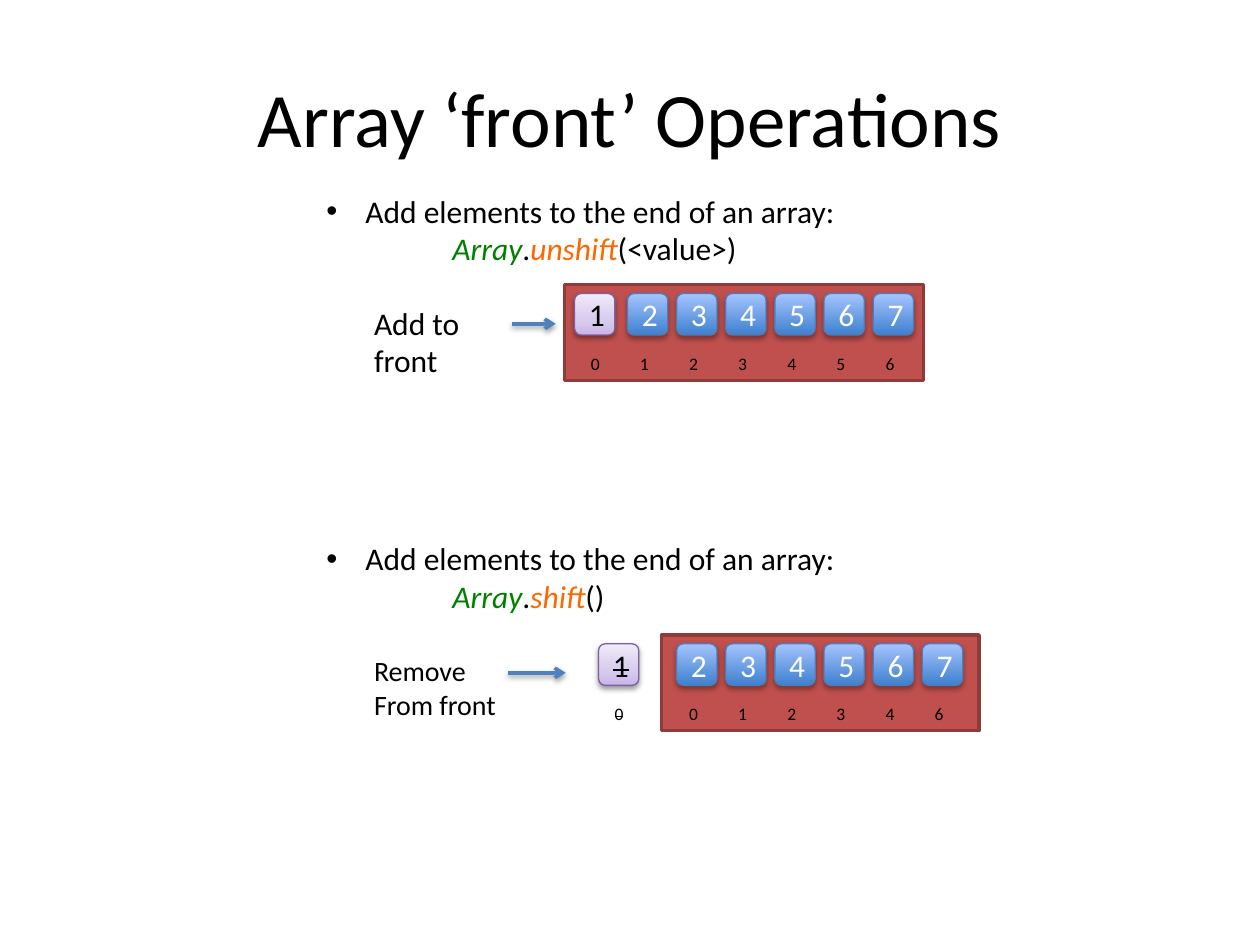
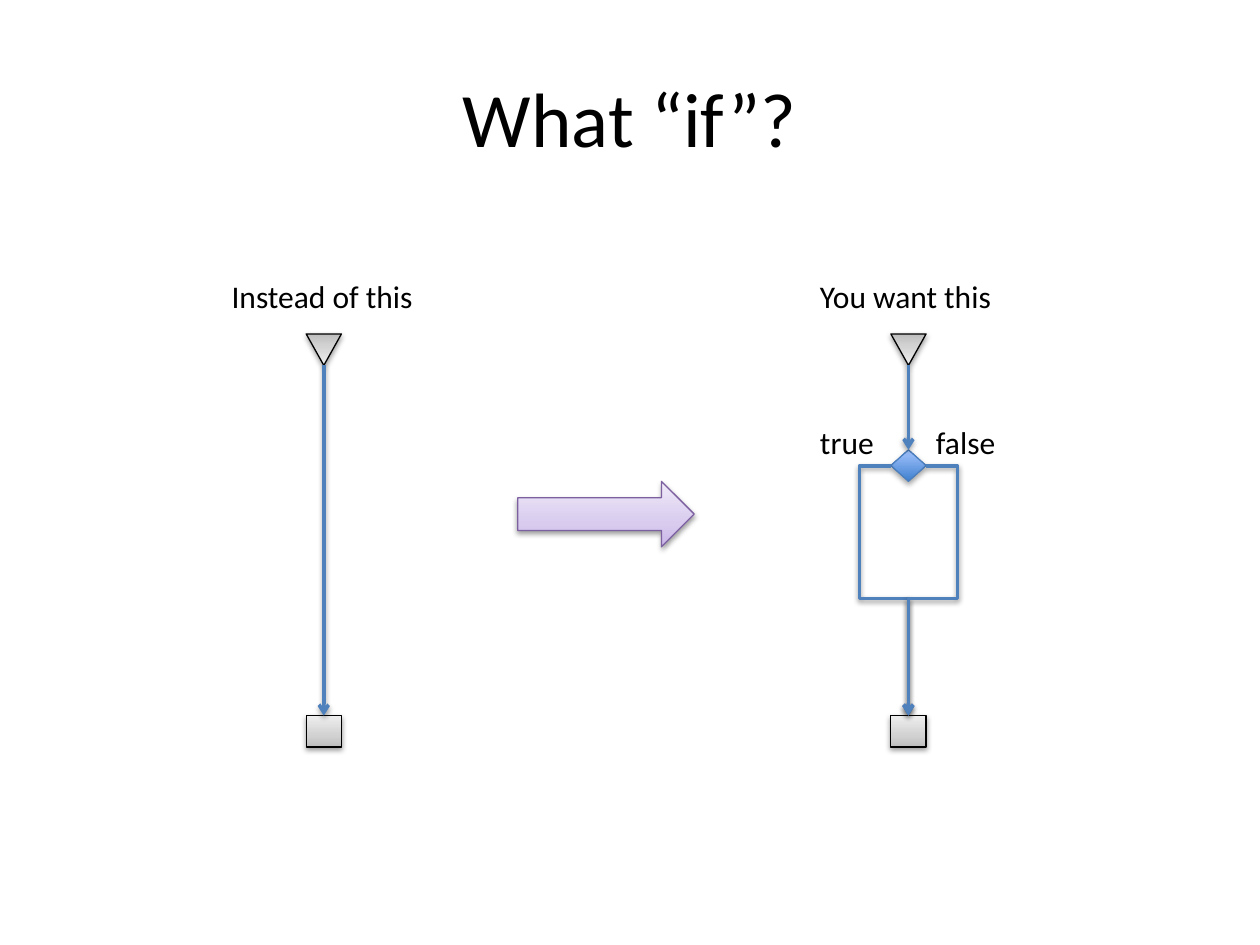
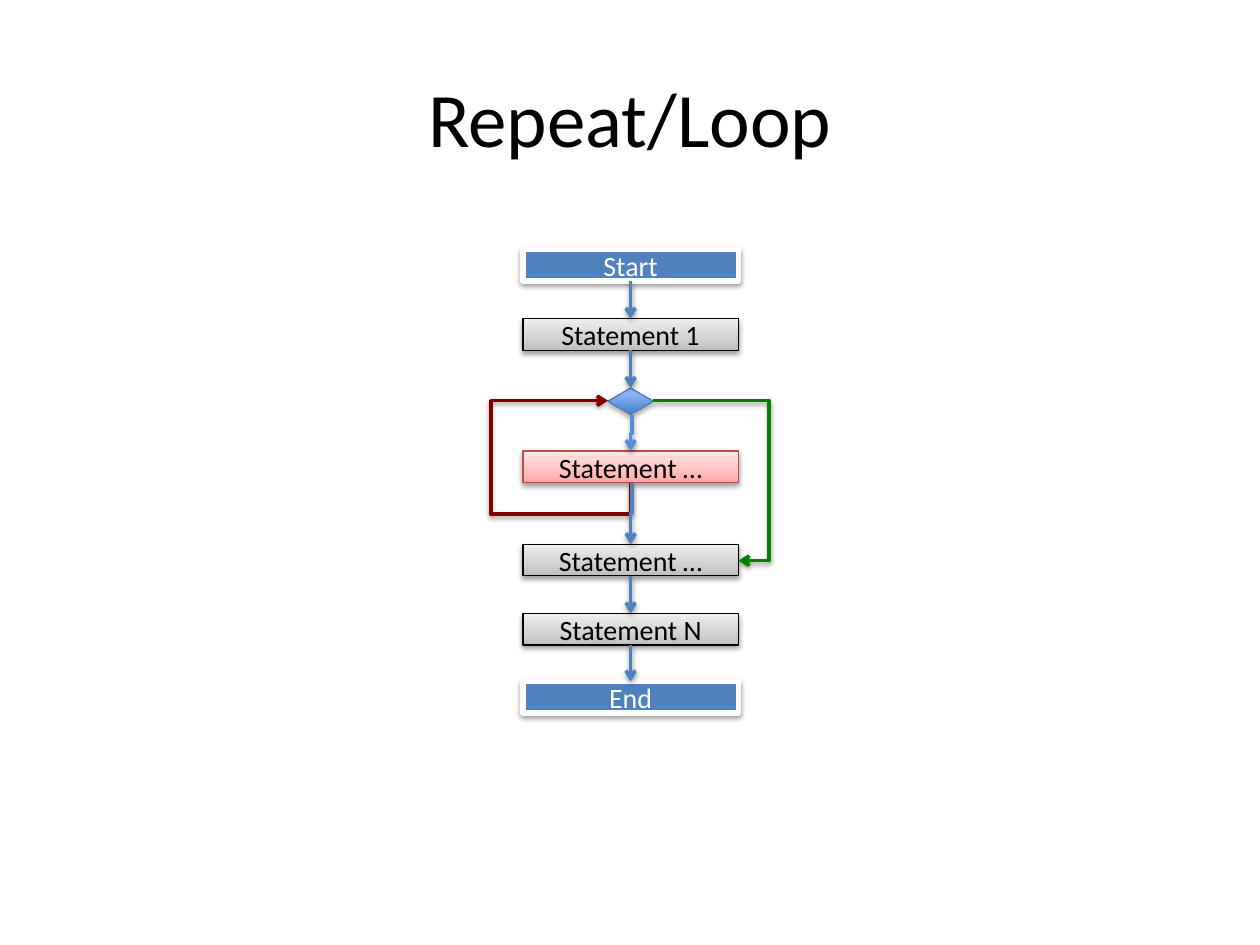
from dataclasses import dataclass

from lxml.etree import SubElement
from pptx import Presentation
from pptx.dml.color import RGBColor
from pptx.enum.shapes import MSO_CONNECTOR, MSO_SHAPE
from pptx.enum.text import MSO_ANCHOR, MSO_AUTO_SIZE, PP_ALIGN
from pptx.oxml.ns import qn
from pptx.util import Inches, Pt


@dataclass(frozen=True)
class Look:
    """Fill as (percent, colour) stops, or one stop for a flat fill."""
    stops: tuple
    line: str
    line_width: float = 0.75
    text: str = "000000"
    shadow: tuple = (38, 1.6)  # opacity in percent, distance in points


@dataclass(frozen=True)
class Theme:
    font: str = "Calibri"
    ink: str = "000000"
    arrow: str = "4F81BD"
    light_arrow: str = "558ED5"
    back_arrow: str = "800000"
    skip_arrow: str = "008000"
    object_name: str = "008000"
    method_name: str = "FF6600"
    title_size: int = 44
    text_size: int = 18
    small_size: int = 16
    index_size: int = 10
    arrow_width: float = 2
    shadow_blur: float = 3.1
    blue: Look = Look(((0, "3F80CE"), (100, "A4C4FF")), "4B7EBC",
                      text="FFFFFF", shadow=(35, 1.8))
    lilac: Look = Look(((0, "C9B5E8"), (35, "D8CBEE"), (100, "F0EAF9")), "7D60A0")
    grey: Look = Look(((0, "BDBDBD"), (35, "D1D1D1"), (100, "EEEEEE")), "000000")
    pink: Look = Look(((0, "FFA6A5"), (35, "FFC0BF"), (100, "FFE7E7")), "BF4C48")
    terminal: Look = Look(((0, "4F81BD"),), "FFFFFF", 3, "FFFFFF")
    tray: Look = Look(((0, "C0504D"),), "8E3B39", 2, shadow=())


THEME = Theme()


def rgb(colour):
    return RGBColor.from_string(colour)


def add_span(para, text, size, colour=THEME.ink, italic=False, struck=False):
    span = para.add_run()
    span.text = text
    span.font.name = THEME.font
    span.font.size = Pt(size)
    span.font.color.rgb = rgb(colour)
    if italic:
        span.font.italic = True
    if struck:
        span._r.get_or_add_rPr().set("strike", "sngStrike")


def cast_shadow(properties, opacity, distance):
    effects = properties.find(qn("a:effectLst"))
    if effects is None:
        effects = SubElement(properties, qn("a:effectLst"))
    shadow = SubElement(effects, qn("a:outerShdw"), blurRad=str(Pt(THEME.shadow_blur)),
                        dist=str(Pt(distance)), dir="5400000", rotWithShape="0")
    colour = SubElement(shadow, qn("a:srgbClr"), val="000000")
    SubElement(colour, qn("a:alpha"), val=str(opacity * 1000))


def fill_shape(shape, stops):
    if len(stops) == 1:
        shape.fill.solid()
        shape.fill.fore_color.rgb = rgb(stops[0][1])
        return
    shape.fill.gradient()
    shape.fill.gradient_angle = 90
    stop_list = shape._element.spPr.find(".//" + qn("a:gsLst"))
    for stop in list(stop_list):
        stop_list.remove(stop)
    for percent, colour in stops:
        stop = SubElement(stop_list, qn("a:gs"), pos=str(percent * 1000))
        SubElement(stop, qn("a:srgbClr"), val=colour)


def add_figure(slide, kind, box, look, text="", size=THEME.text_size, struck=False):
    shape = slide.shapes.add_shape(kind, *map(Inches, box))
    fill_shape(shape, look.stops)
    shape.line.color.rgb = rgb(look.line)
    shape.line.width = Pt(look.line_width)
    shape.shadow.inherit = False
    if look.shadow:
        cast_shadow(shape._element.spPr, *look.shadow)
    if text:
        shape.text_frame.vertical_anchor = MSO_ANCHOR.MIDDLE
        para = shape.text_frame.paragraphs[0]
        para.alignment = PP_ALIGN.CENTER
        add_span(para, text, size, look.text, struck=struck)
    return shape


def add_label(slide, box, lines, size=THEME.text_size, wrap=False, struck=False):
    frame = slide.shapes.add_textbox(*map(Inches, box)).text_frame
    frame.word_wrap = wrap
    frame.auto_size = MSO_AUTO_SIZE.SHAPE_TO_FIT_TEXT
    for number, line in enumerate(lines):
        para = frame.add_paragraph() if number else frame.paragraphs[0]
        add_span(para, line, size, struck=struck)


def finish_arrow(connector, colour):
    connector.line.color.rgb = rgb(colour)
    connector.line.width = Pt(THEME.arrow_width)
    properties = connector._element.spPr
    SubElement(properties.find(qn("a:ln")), qn("a:tailEnd"), type="arrow")
    cast_shadow(properties, 38, 1.6)


def add_arrow(slide, begin, end, source=None, target=None):
    """Straight arrow, joined to the bottom of source and the top of target."""
    connector = slide.shapes.add_connector(
        MSO_CONNECTOR.STRAIGHT, *map(Inches, (*begin, *end)))
    if source is not None:
        connector.begin_connect(source, 2)
    if target is not None:
        connector.end_connect(target, 0)
    finish_arrow(connector, THEME.arrow)


def add_elbow(slide, begin, end, bends, colour=THEME.arrow, downward=False):
    """Bent arrow; bends are distances from begin, along alternating axes.

    A downward arrow leaves vertically: its frame is turned by a quarter.
    """
    (x1, y1), (x2, y2) = begin, end
    run, rise = x2 - x1, y2 - y1
    spans = (run, rise)
    ends = (x1, y1, x2, y2)
    if downward:
        middle_x, middle_y = (x1 + x2) / 2, (y1 + y2) / 2
        spans = (rise, run)
        ends = (middle_x - rise / 2, middle_y + run / 2,
                middle_x + rise / 2, middle_y - run / 2)
    connector = slide.shapes.add_connector(MSO_CONNECTOR.ELBOW, *map(Inches, ends))
    properties = connector._element.spPr
    if downward:
        properties.find(qn("a:xfrm")).set("rot", "5400000")
    geometry = properties.find(qn("a:prstGeom"))
    geometry.set("prst", f"bentConnector{len(bends) + 2}")
    guides = geometry.find(qn("a:avLst"))
    if guides is None:
        guides = SubElement(geometry, qn("a:avLst"))
    for number, (bend, span) in enumerate(zip(bends, spans), 1):
        SubElement(guides, qn("a:gd"), name=f"adj{number}",
                   fmla=f"val {round(bend / span * 100000)}")
    finish_arrow(connector, colour)


def start_slide(deck, layout, title):
    slide = deck.slides.add_slide(deck.slide_layouts.get_by_name(layout))
    add_span(slide.shapes.title.text_frame.paragraphs[0], title, THEME.title_size)
    return slide


def fill_method_list(body, box, method, arguments):
    body.left, body.top, body.width, body.height = map(Inches, box)
    frame = body.text_frame
    frame.auto_size = MSO_AUTO_SIZE.SHAPE_TO_FIT_TEXT
    lead, call = frame.paragraphs[0], frame.add_paragraph()
    call.level = 1
    for para, margin, indent in ((lead, 0.31, -0.31), (call, 1, 0)):
        para.space_before = Pt(0)
        settings = para._p.get_or_add_pPr()
        settings.set("marL", str(Inches(margin)))
        settings.set("indent", str(Inches(indent)))
    SubElement(call._p.get_or_add_pPr(), qn("a:buNone"))
    size = THEME.text_size
    add_span(lead, "Add elements to the end of an array:", size)
    add_span(call, "Array", size, THEME.object_name, italic=True)
    add_span(call, ".", size)
    add_span(call, method, size, THEME.method_name, italic=True)
    add_span(call, arguments, size)


def add_element(slide, left, top, value, index, look=THEME.blue, struck=False):
    """Array cell with its index below."""
    add_figure(slide, MSO_SHAPE.ROUNDED_RECTANGLE, (left, top, 0.32, 0.33), look,
               value, struck=struck)
    shift = 0.03 if look is THEME.lilac else 0
    add_label(slide, (left + shift, top + 0.42, 0.32, 0.27), [index],
              THEME.index_size, wrap=True, struck=struck)


def add_array(slide, left, top, tray_left, tray_width, indexes):
    """Tray holding the blue elements 2 to 7, the first of them at left, top."""
    pitch = 0.39
    add_figure(slide, MSO_SHAPE.RECTANGLE,
               (tray_left, top - 0.07, tray_width, 0.76), THEME.tray)
    for number, index in enumerate(indexes):
        add_element(slide, left + number * pitch, top, str(number + 2), index)


def build_array_slide(deck):
    slide = start_slide(deck, "Two Content", "Array ‘front’ Operations")
    first, second = list(slide.placeholders)[1:]
    left = 2.49
    fill_method_list(first, (left, 1.47, 5, 0.71), "unshift", "(<value>)")
    fill_method_list(second, (left, 4.23, 5, 0.71), "shift", "()")

    top = 2.33
    add_array(slide, 4.98, top, 4.48, 2.85, "123456")
    add_element(slide, 4.56, top, "1", "0", THEME.lilac)
    add_label(slide, (2.87, top + 0.03, 0.89, 0.71), ["Add to", "front"])
    add_arrow(slide, (4.06, top + 0.24), (4.41, top + 0.24))

    top = 5.11
    add_array(slide, 5.37, top, 5.25, 2.52, "012346")
    add_element(slide, 4.75, top, "1", "0", THEME.lilac, struck=True)
    add_label(slide, (2.87, top + 0.03, 1.19, 0.64), ["Remove", "From front"],
              THEME.small_size)
    add_arrow(slide, (4.03, top + 0.23), (4.49, top + 0.23))


def add_flow_ends(slide, left, top):
    """Start triangle and end square; returns the centre line and the square."""
    width, height = 0.28, 0.25
    triangle = add_figure(slide, MSO_SHAPE.ISOSCELES_TRIANGLE,
                          (left, top, width, height), THEME.grey)
    triangle.rotation = 180
    square = add_figure(slide, MSO_SHAPE.RECTANGLE,
                        (left, top + 3.03, width, height), THEME.grey)
    return left + width / 2, square


def add_plain_flow(slide, left, top):
    center, square = add_flow_ends(slide, left, top)
    add_arrow(slide, (center, top + 0.25), (center, top + 3.03), target=square)
    add_label(slide, (left - 0.69, top - 0.5, 1.66, 0.4), ["Instead of this"])


def add_branching_flow(slide, left, top):
    center, square = add_flow_ends(slide, left, top)
    diamond = add_figure(slide, MSO_SHAPE.DIAMOND,
                         (left, top + 0.92, 0.28, 0.25), THEME.blue)
    add_arrow(slide, (center, top + 0.25), (center, top + 0.92), target=diamond)
    for side in (-1, 1):
        add_elbow(slide, (center + side * 0.14, top + 1.05), (center, top + 3.03),
                  (side * 0.25, 1.05))
    add_label(slide, (left - 0.66, top - 0.5, 1.6, 0.4), ["You want this"])
    add_label(slide, (left - 0.66, top + 0.66, 0.63, 0.4), ["true"])
    add_label(slide, (left + 0.26, top + 0.66, 0.68, 0.4), ["false"])


def build_if_slide(deck):
    slide = start_slide(deck, "Title Only", "What “if”?")
    add_plain_flow(slide, 2.43, 2.65)
    add_branching_flow(slide, 7.07, 2.65)
    add_figure(slide, MSO_SHAPE.RIGHT_ARROW, (4.11, 3.82, 1.4, 0.52), THEME.lilac)


def add_loop_chart(slide, left, top):
    width, height = 1.71, 0.25
    center, right = left + width / 2, left + width

    def add_step(offset, text, look):
        return add_figure(slide, MSO_SHAPE.RECTANGLE,
                          (left, top + offset, width, height), look,
                          text, THEME.small_size)

    start = add_step(0, "Start", THEME.terminal)
    opening = add_step(0.55, "Statement 1", THEME.grey)
    add_step(1.6, "Statement …", THEME.pink)
    after = add_step(2.34, "Statement …", THEME.grey)
    last = add_step(2.89, "Statement N", THEME.grey)
    finish = add_step(3.43, "End", THEME.terminal)
    test = add_figure(slide, MSO_SHAPE.FLOWCHART_DECISION,
                      (center - 0.18, top + 1.1, 0.36, 0.21), THEME.blue)

    test_middle, body_bottom = top + 1.2, top + 1.85
    add_elbow(slide, (center, body_bottom), (center - 0.18, test_middle),
              (0.25, -1.11), THEME.back_arrow, downward=True)
    add_elbow(slide, (center + 0.01, body_bottom), (center, top + 2.34),
              (0.24,), downward=True)
    add_elbow(slide, (center + 0.01, top + 1.31), (center, top + 1.6),
              (0.15,), THEME.light_arrow, downward=True)
    add_elbow(slide, (center + 0.18, test_middle), (right, top + 2.47),
              (0.92,), THEME.skip_arrow)
    for source, target in ((start, opening), (opening, test),
                           (after, last), (last, finish)):
        add_arrow(slide, (center, top), (center, top), source, target)


def build_loop_slide(deck):
    slide = start_slide(deck, "Title Only", "Repeat/Loop")
    add_loop_chart(slide, 4.15, 1.98)


def main():
    deck = Presentation()
    deck.slide_width, deck.slide_height = Inches(10), Inches(7.5)
    build_array_slide(deck)
    build_if_slide(deck)
    build_loop_slide(deck)
    deck.save("out.pptx")


if __name__ == "__main__":
    main()
